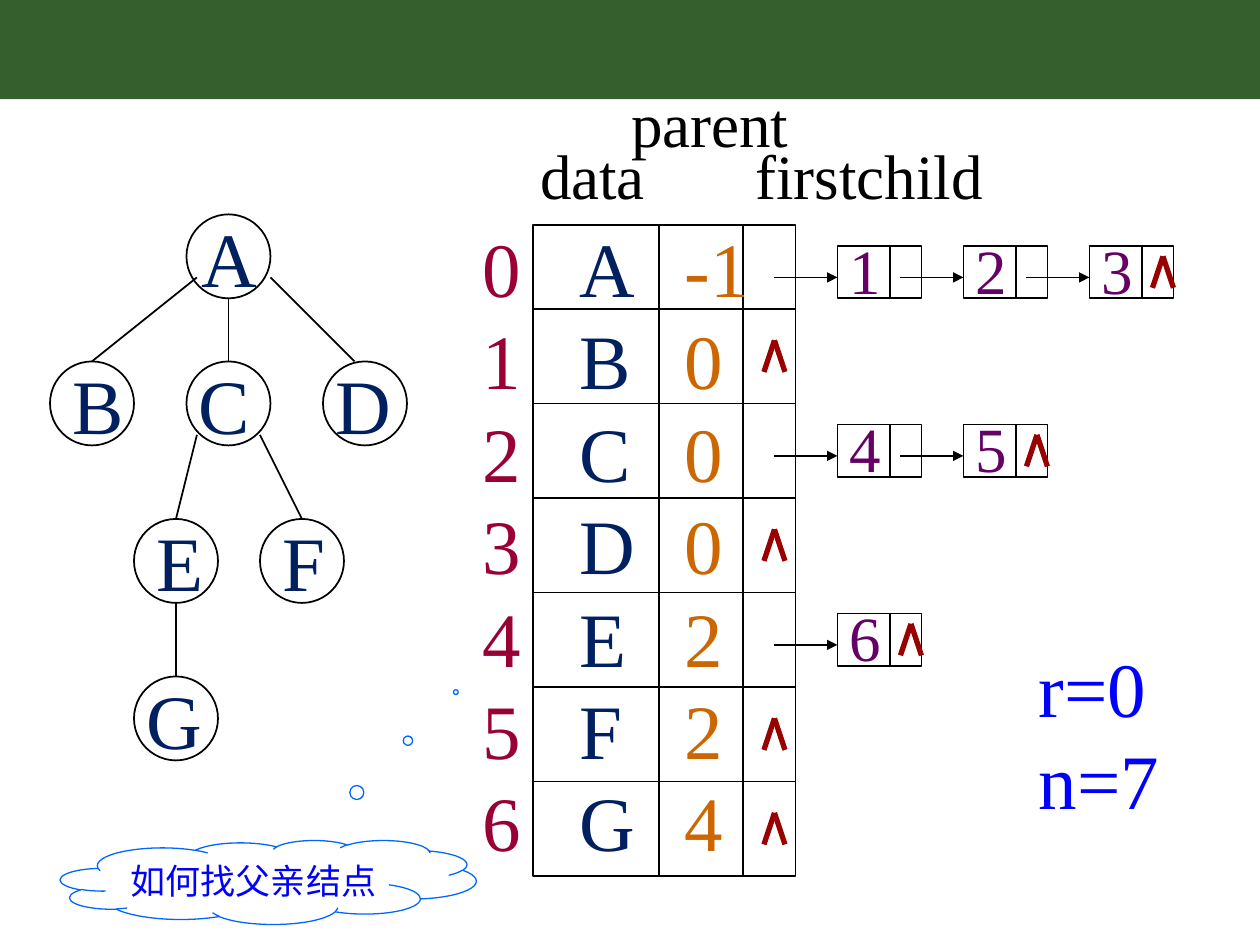
from lxml import etree
from pptx import Presentation
from pptx.dml.color import RGBColor
from pptx.enum.shapes import MSO_CONNECTOR, MSO_SHAPE
from pptx.enum.text import MSO_ANCHOR, PP_ALIGN
from pptx.oxml.ns import qn
from pptx.util import Inches, Pt

LINE = MSO_CONNECTOR.STRAIGHT
RECT, OVAL, CLOUD = MSO_SHAPE.RECTANGLE, MSO_SHAPE.OVAL, MSO_SHAPE.CLOUD_CALLOUT
TOP, MIDDLE = MSO_ANCHOR.TOP, MSO_ANCHOR.MIDDLE
LEFT, CENTER = PP_ALIGN.LEFT, PP_ALIGN.CENTER

BLACK = RGBColor(0, 0, 0)
GREEN = RGBColor(0x36, 0x5F, 0x2E)
NAVY = RGBColor(0x00, 0x20, 0x60)
WINE = RGBColor(0x99, 0x00, 0x33)
RED = RGBColor(0x99, 0x00, 0x00)
ORANGE = RGBColor(0xCC, 0x66, 0x00)
PURPLE = RGBColor(0x66, 0x00, 0x66)
BLUE = RGBColor(0x00, 0x00, 0xFF)
SKY = RGBColor(0x00, 0x66, 0xFF)

FONT = "Times New Roman"
UNIT = 1 / 12
BIG, MID = 44, 36

# name: column and row of the circle, shift of its letter
TREE = {"A": (18, 20, 0.25), "B": (5, 34, 1), "C": (18, 34, 0),
        "D": (31, 34, 0), "E": (13, 49, 1), "F": (25, 49, 1),
        "G": (13, 64, 0)}
EDGES = [(26, 26, 34, 34), (19, 26, 9, 34), (22, 28, 22, 34),
         (19, 41, 17, 49), (25, 41, 29, 49), (17, 57, 17, 64)]
PARENTS = ["-1", "0", "0", "0", "2", "2", "4"]
CHAINS = {23: "123", 40: "45", 58: "6"}
LEAVES = [32, 50, 68, 77]


def col(c):
    return Inches(c * UNIT - 0.02)


def row(r):
    return Inches(r * UNIT + 0.035)


def size(n):
    return Inches(n * UNIT)


def shape(slide, kind, c, r, w, h, color=BLACK, width=1):
    item = slide.shapes.add_shape(kind, col(c), row(r), size(w), size(h))
    item.shadow.inherit = False
    item.fill.background()
    item.line.color.rgb = color
    item.line.width = Pt(width)
    return item


def line(slide, c1, r1, c2, r2, color=BLACK, width=1, arrow=False):
    item = slide.shapes.add_connector(LINE, col(c1), row(r1), col(c2), row(r2))
    item.line.color.rgb = color
    item.line.width = Pt(width)
    if arrow:
        etree.SubElement(item.line._get_or_add_ln(), qn("a:tailEnd"),
                         type="triangle")
    etree.SubElement(item._element.spPr, qn("a:effectLst"))


def fill(para, runs, pts, align=LEFT, tabs=()):
    """Write (text, color) runs; tabs are in inches."""
    if tabs:
        stops = etree.SubElement(para._p.get_or_add_pPr(), qn("a:tabLst"))
        for tab in tabs:
            etree.SubElement(stops, qn("a:tab"), pos=str(Inches(tab)), algn="l")
    para.alignment = align
    for words, color in runs:
        run = para.add_run()
        run.text = words
        for key, value in {"name": FONT, "size": Pt(pts)}.items():
            setattr(run.font, key, value)
        run.font.color.rgb = color


def text(slide, c, r, w, h, paras, pts, align=LEFT, tabs=()):
    frame = slide.shapes.add_textbox(col(c), row(r), size(w), size(h)).text_frame
    for key, value in {"word_wrap": True, "vertical_anchor": TOP}.items():
        setattr(frame, key, value)
    for i, runs in enumerate(paras):
        para = frame.add_paragraph() if i else frame.paragraphs[0]
        fill(para, runs, pts, align, tabs)


def mark(slide, c, r):
    """Draw the caret that ends a list."""
    for side in (-1, 1):
        line(slide, c, r, c + side, r + 3, RED, 3)


def banner(slide, wide, high):
    bar = slide.shapes.add_shape(RECT, 0, 0, wide, int(high * 0.105))
    bar.shadow.inherit = False
    bar.fill.solid()
    bar.fill.fore_color.rgb = GREEN
    bar.line.fill.background()


def tree(slide):
    for name, (c, r, shift) in TREE.items():
        shape(slide, OVAL, c, r, 8, 8)
        text(slide, c + shift, r - 1, 7.8, 10, [[(name, NAVY)]], BIG)
    for edge in EDGES:
        line(slide, *edge)


def table(slide):
    shape(slide, RECT, 51, 21, 25, 62)
    for r in range(29, 75, 9):
        line(slide, 51, r, 76, r)
    for c in (63, 71):
        line(slide, c, 21, c, 83)
    rows = [[(f"{i}\t", WINE), (name, NAVY)] for i, name in enumerate(TREE)]
    text(slide, 45, 20, 22.5, 63.4, rows, BIG, tabs=[0.77])
    text(slide, 64.25, 20, 9.7, 63.4, [[(p, ORANGE)] for p in PARENTS], BIG)
    text(slide, 59.1, 7, 17.5, 8.5, [[("parent", BLACK)]], MID, CENTER)
    text(slide, 50.5, 12, 54.5, 8.5, [[("data\tfirstchild", BLACK)]], MID,
         tabs=[1.71])
    for r in LEAVES:
        mark(slide, 74, r)


def chains(slide):
    for r, kids in CHAINS.items():
        text(slide, 80, r - 2, 12 * len(kids), 8.5,
             [[("\t".join(kids), PURPLE)]], MID, tabs=[1, 2])
        for i in range(len(kids)):
            c = 80 + 12 * i
            shape(slide, RECT, c, r, 8, 5)
            line(slide, c + 5, r, c + 5, r + 5)
            line(slide, c - 6, r + 3, c, r + 3, arrow=True)
        mark(slide, c + 7, r + 1)


def cloud(slide):
    item = shape(slide, CLOUD, 6, 79.6, 39.6, 8, SKY, 0.75)
    for i, value in enumerate((0.451, -2.264)):
        item.adjustments[i] = value
    frame = item.text_frame
    frame.word_wrap = False
    frame.vertical_anchor = MIDDLE
    fill(frame.paragraphs[0], [("如何找父亲结点", BLUE)], 20, CENTER)


def main():
    deck = Presentation()
    deck.slide_width, deck.slide_height = Inches(10), Inches(7.5)
    slide = deck.slides.add_slide(deck.slide_layouts[6])
    banner(slide, deck.slide_width, deck.slide_height)
    tree(slide)
    table(slide)
    chains(slide)
    text(slide, 98, 60, 15, 19, [[("r=0", BLUE)], [("n=7", BLUE)]], BIG)
    cloud(slide)
    deck.save("out.pptx")


if __name__ == "__main__":
    main()
